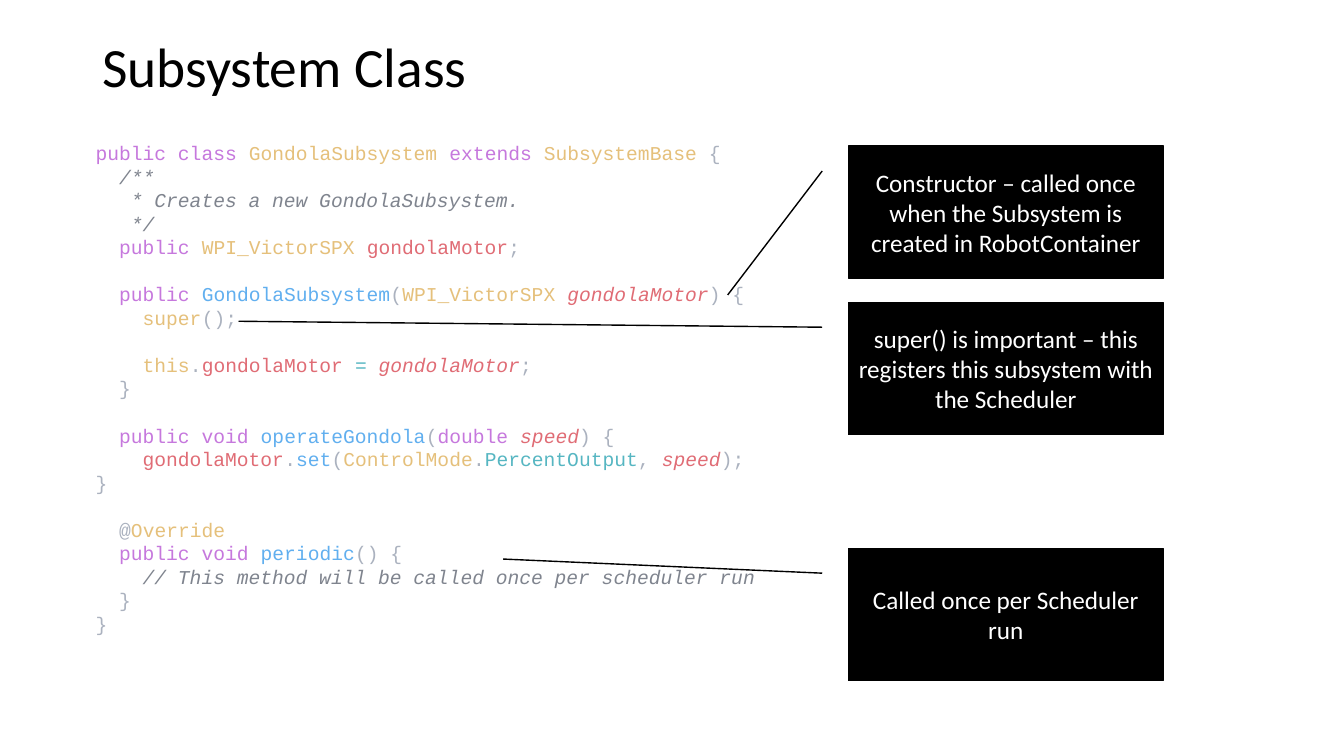
import pptx
import pptx.util
import pptx.dml.color
import pptx.enum.shapes
import pptx.enum.text

Pt = pptx.util.Pt
RGBColor = pptx.dml.color.RGBColor

BLACK = RGBColor(0x00, 0x00, 0x00)
WHITE = RGBColor(0xFF, 0xFF, 0xFF)
PURPLE = RGBColor(0xC6, 0x78, 0xDD)
GOLD = RGBColor(0xE5, 0xC0, 0x7B)
SILVER = RGBColor(0xAB, 0xB2, 0xBF)
GRAY = RGBColor(0x7F, 0x84, 0x8E)
RED = RGBColor(0xE0, 0x6C, 0x75)
BLUE = RGBColor(0x61, 0xAF, 0xEF)
TEAL = RGBColor(0x56, 0xB6, 0xC2)

KEYWORD = (PURPLE, False)
TYPE = (GOLD, False)
PLAIN = (SILVER, False)
COMMENT = (GRAY, True)
FIELD = (RED, False)
PARAMETER = (RED, True)
METHOD = (BLUE, False)
CONSTANT = (TEAL, False)

CODE_BLOCKS = [
    [
        [("public class ", KEYWORD), ("GondolaSubsystem ", TYPE),
         ("extends ", KEYWORD), ("SubsystemBase ", TYPE), ("{", PLAIN)],
        [("  /**", COMMENT)],
        [("   * Creates a new GondolaSubsystem.", COMMENT)],
        [("   */", COMMENT)],
        [("  public ", KEYWORD), ("WPI_VictorSPX ", TYPE),
         ("gondolaMotor", FIELD), (";", PLAIN)],
    ],
    [
        [("  public ", KEYWORD), ("GondolaSubsystem", METHOD), ("(", PLAIN),
         ("WPI_VictorSPX ", TYPE), ("gondolaMotor", PARAMETER), (") {", PLAIN)],
        [("    super", TYPE), ("();", PLAIN)],
    ],
    [
        [("    this", TYPE), (".", PLAIN), ("gondolaMotor ", FIELD),
         ("= ", CONSTANT), ("gondolaMotor", PARAMETER), (";", PLAIN)],
        [("  }", PLAIN)],
    ],
    [
        [("  public void ", KEYWORD), ("operateGondola", METHOD), ("(", PLAIN),
         ("double ", KEYWORD), ("speed", PARAMETER), (") {", PLAIN)],
        [("    gondolaMotor", FIELD), (".", PLAIN), ("set", METHOD), ("(", PLAIN),
         ("ControlMode", TYPE), (".", PLAIN), ("PercentOutput", CONSTANT),
         (", ", PLAIN), ("speed", PARAMETER), (");", PLAIN)],
        [("}", PLAIN)],
    ],
    [
        [("  @", PLAIN), ("Override", TYPE)],
        [("  public void", KEYWORD), (" periodic", METHOD), ("() {", PLAIN)],
        [("    // This method will be called once per scheduler run", COMMENT)],
        [("  }", PLAIN)],
        [("}", PLAIN)],
    ],
]
CODE_LINE_HEIGHT = Pt(16.8)

CALLOUTS = [
    (104.4, "Constructor – called once when the Subsystem is created in RobotContainer",
     1.125, -0.383),
    (216, "super() is important – this registers this subsystem with the Scheduler",
     0.143, -1.936),
    (391.7, "Called once per Scheduler run", 0.081, -1.096),
]

deck = pptx.Presentation()
deck.slide_width = Pt(960)
deck.slide_height = Pt(540)
page = deck.slides.add_slide(deck.slide_layouts[6])

title_box = page.shapes.add_textbox(Pt(66), Pt(28.8), Pt(828), Pt(42))
title_frame = title_box.text_frame
title_frame.word_wrap = True
title_frame.vertical_anchor = pptx.enum.text.MSO_ANCHOR.MIDDLE
title_frame.text = "Subsystem Class"
title_para = title_frame.paragraphs[0]
title_para.line_spacing = 0.9
title_font = title_para.runs[0].font
title_font.name = "Calibri"
title_font.size = Pt(39.6)
title_font.color.rgb = BLACK

code_box = page.shapes.add_textbox(Pt(61.2), Pt(97.2), Pt(608.4), Pt(363.6))
code_frame = code_box.text_frame
code_frame.word_wrap = True
for block_index, block in enumerate(CODE_BLOCKS):
    for line_index, line in enumerate(block):
        first_line = block_index == 0 and line_index == 0
        para = code_frame.paragraphs[0] if first_line else code_frame.add_paragraph()
        para.line_spacing = CODE_LINE_HEIGHT
        if block_index > 0 and line_index == 0:
            para.space_before = CODE_LINE_HEIGHT
        for text, (color, italic) in line:
            span = para.add_run()
            span.text = text
            span.font.name = "Courier New"
            span.font.size = Pt(14)
            span.font.italic = italic
            span.font.color.rgb = color

for top, text, target_y, target_x in CALLOUTS:
    callout = page.shapes.add_shape(
        pptx.enum.shapes.MSO_SHAPE.LINE_CALLOUT_1, Pt(606), Pt(top), Pt(225), Pt(94.5))
    callout.shadow.inherit = False
    for index, value in enumerate((0.188, -0.083, target_y, target_x)):
        callout.adjustments[index] = value
    callout.fill.solid()
    callout.fill.fore_color.rgb = BLACK
    callout.line.color.rgb = BLACK
    callout.line.width = Pt(1)
    callout_frame = callout.text_frame
    callout_frame.word_wrap = True
    callout_frame.vertical_anchor = pptx.enum.text.MSO_ANCHOR.MIDDLE
    callout_frame.text = text
    callout_para = callout_frame.paragraphs[0]
    callout_para.alignment = pptx.enum.text.PP_ALIGN.CENTER
    callout_font = callout_para.runs[0].font
    callout_font.name = "Calibri"
    callout_font.size = Pt(18)
    callout_font.color.rgb = WHITE

deck.save("out.pptx")
